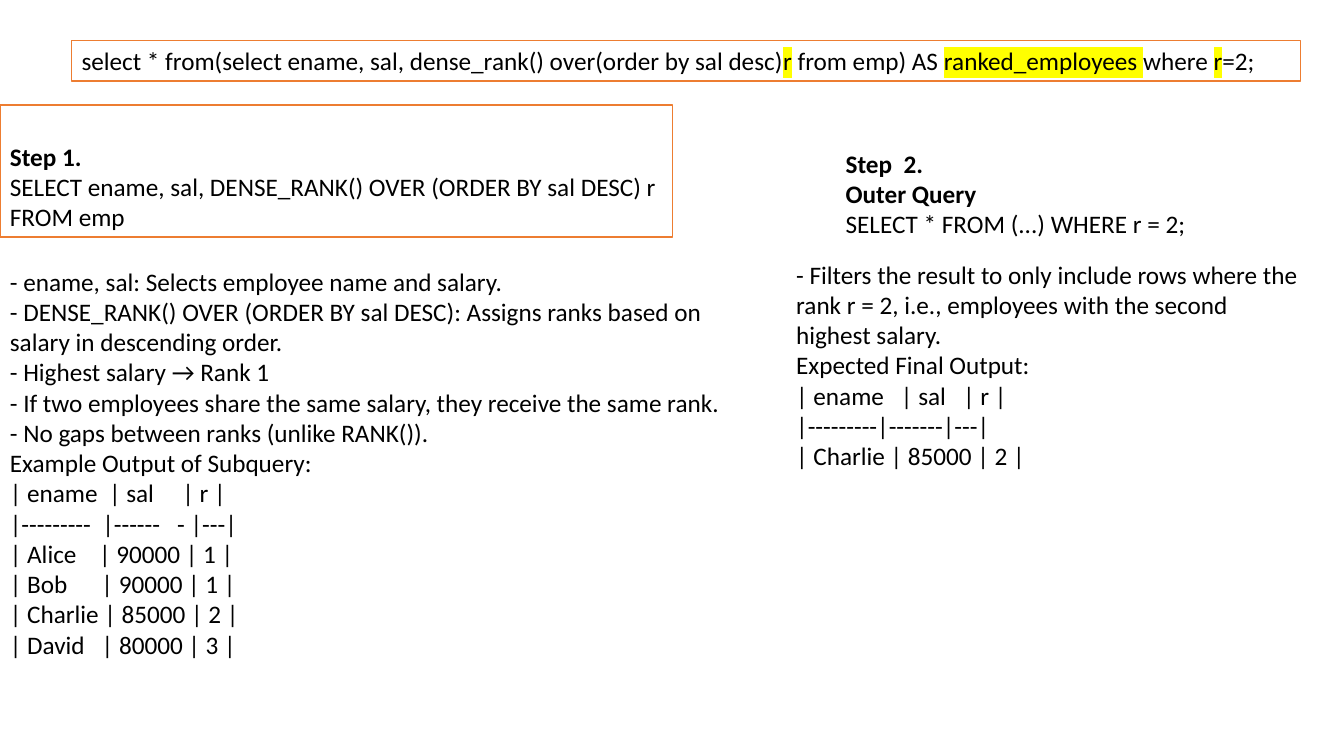
"""Build a slide that explains a second-highest-salary SQL query step by step."""
from lxml.etree import SubElement
from pptx import Presentation
from pptx.dml.color import RGBColor
from pptx.enum.shapes import MSO_SHAPE as Shape
from pptx.enum.text import MSO_ANCHOR as Anchor, PP_ALIGN as Align
from pptx.oxml.ns import qn
from pptx.util import Inches, Pt

BLACK = RGBColor(0x00, 0x00, 0x00)
WHITE = RGBColor(0xFF, 0xFF, 0xFF)
ORANGE = RGBColor(0xED, 0x7D, 0x31)
YELLOW = RGBColor(0xFF, 0xFF, 0x00)

deck = Presentation()
deck.slide_width, deck.slide_height = Inches(13.33), Inches(7.5)
COLUMN, ROW = deck.slide_width / 100, deck.slide_height / 100
page = deck.slides.add_slide(deck.slide_layouts[6])


def place(left, top, width, height):
    """Turn grid columns and rows into slide lengths."""
    return [int(n * unit) for n, unit in
            ((left, COLUMN), (top, ROW), (width, COLUMN), (height, ROW))]


def write(box, lines, bold_lines=0, anchor=Anchor.TOP):
    """Fill a box with lines, each a list of spans; every second span is highlighted."""
    frame = box.text_frame
    frame.word_wrap = True
    frame.vertical_anchor = anchor
    for number, spans in enumerate(lines):
        para = frame.add_paragraph() if number else frame.paragraphs[0]
        para.alignment = Align.LEFT
        para.font.name, para.font.size = "Calibri", Pt(18)
        para.font.color.rgb = BLACK
        para.font.bold = number < bold_lines
        for index, words in enumerate(spans):
            span = para.add_run()
            span.text = words
            if index % 2:
                highlight = SubElement(span.font._element, qn("a:highlight"))
                SubElement(highlight, qn("a:srgbClr"), val=str(YELLOW))


query = [["select * from(select ename, sal, dense_rank() over(order by sal desc)", "r",
          " from emp) AS ", "ranked_employees ", "where ", "r", "=2;"]]
step_one = [["Step 1."],
            ["SELECT ename, sal, DENSE_RANK() OVER (ORDER BY sal DESC) r FROM emp"]]

framed_panels = [
    ((5.33, 5.33, 91.43, 5.38), query, 0, Anchor.MIDDLE),
    ((0, 13.87, 50.02, 17.47), step_one, 1, Anchor.BOTTOM),
]
for area, lines, bold_lines, anchor in framed_panels:
    box = page.shapes.add_shape(Shape.RECTANGLE, *place(*area))
    box.shadow.inherit = False
    box.fill.solid()
    box.fill.fore_color.rgb = WHITE
    box.line.color.rgb = ORANGE
    box.line.width = Pt(1)
    write(box, lines, bold_lines, anchor)

subquery_notes = [
    "- ename, sal: Selects employee name and salary.",
    "- DENSE_RANK() OVER (ORDER BY sal DESC): Assigns ranks based on salary in descending order.",
    "- Highest salary → Rank 1",
    "- If two employees share the same salary, they receive the same rank.",
    "- No gaps between ranks (unlike RANK()).",
    "Example Output of Subquery:",
    "| ename  | sal     | r |",
    "|---------  |------   - |---|",
    "| Alice    | 90000 | 1 |",
    "| Bob      | 90000 | 1 |",
    "| Charlie | 85000 | 2 |",
    "| David   | 80000 | 3 |",
]
step_two = ["Step  2.", "Outer Query", "SELECT * FROM (...) WHERE r = 2;"]
final_notes = [
    "- Filters the result to only include rows where the rank r = 2, "
    "i.e., employees with the second highest salary.",
    "Expected Final Output:",
    "| ename   | sal   | r |",
    "|---------|-------|---|",
    "| Charlie | 85000 | 2 |",
]
plain_panels = [
    ((0, 34.53, 56.4, 53.87), subquery_notes, 0),
    ((62.18, 18.93, 37.82, 13.47), step_two, 2),
    ((58.5, 33.6, 39, 29.6), final_notes, 0),
]
for area, lines, bold_lines in plain_panels:
    box = page.shapes.add_textbox(*place(*area))
    write(box, [[line] for line in lines], bold_lines)

deck.save("out.pptx")
